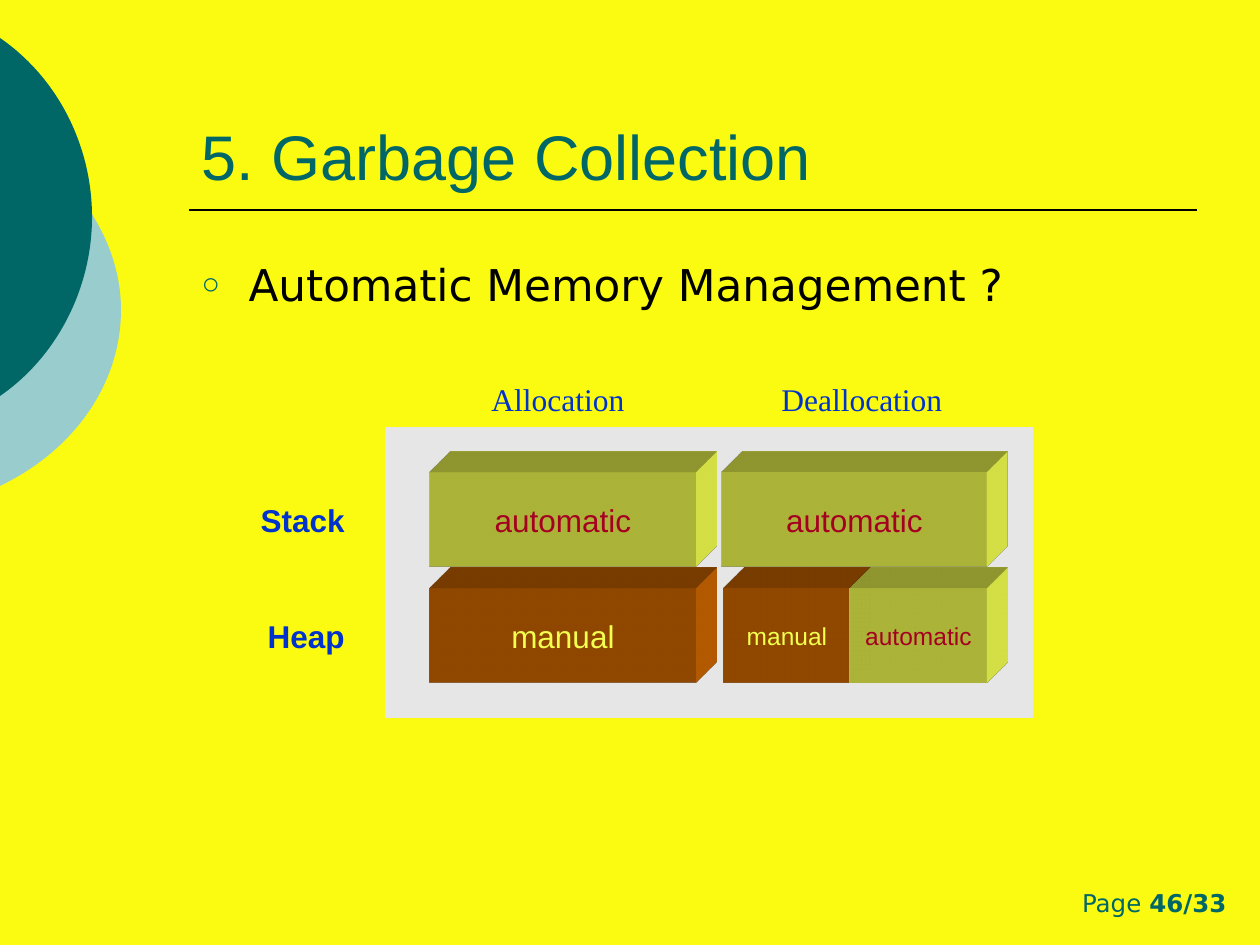
from lxml.etree import SubElement
from pptx import Presentation
from pptx.dml.color import RGBColor
from pptx.enum.shapes import MSO_CONNECTOR, MSO_SHAPE
from pptx.enum.text import MSO_ANCHOR, PP_ALIGN
from pptx.oxml.ns import qn
from pptx.util import Pt

PX = 914400 / 126  # EMU in one px
YELLOW = RGBColor(0xFB, 0xFB, 0x11)
TEAL = RGBColor(0x00, 0x66, 0x66)
PALE_TEAL = RGBColor(0x99, 0xCC, 0xCC)
BLACK = RGBColor(0x00, 0x00, 0x00)
GREY = RGBColor(0xE6, 0xE6, 0xE6)
BLUE = RGBColor(0x00, 0x33, 0xCC)
RED = RGBColor(0xA5, 0x00, 0x21)
LEMON = RGBColor(0xF2, 0xFF, 0x4F)
ORANGE = RGBColor(0xCC, 0x66, 0x00)

prs = Presentation()
prs.slide_width, prs.slide_height = round(1260 * PX), round(945 * PX)
s = prs.slides.add_slide(prs.slide_layouts[1])
s.background.fill.solid()
s.background.fill.fore_color.rgb = YELLOW


def rectangle(box, color):
    sp = s.shapes.add_shape(MSO_SHAPE.RECTANGLE, *(round(v * PX) for v in box))
    sp.fill.solid()
    sp.fill.fore_color.rgb = color
    sp.line.fill.background()
    sp.shadow.inherit = False
    return sp


def write(sp, runs, size, font, color, align=PP_ALIGN.CENTER):
    tf = sp.text_frame
    tf.word_wrap = True
    tf.vertical_anchor = MSO_ANCHOR.MIDDLE
    p = tf.paragraphs[0]
    p.alignment = align
    for text, bold in runs:
        r = p.add_run()
        r.text = text
        for name, value in {"size": Pt(size), "name": font, "bold": bold}.items():
            setattr(r.font, name, value)
        r.font.color.rgb = color


# Discs cut by the left edge: two Bezier curves inside a wider frame
discs = [
    (PALE_TEAL, (-446, 95, 567, 431),
     [(0, 134), (75, 170), (121, 240), (121, 310), (121, 383), (75, 450), (0, 486)]),
    (TEAL, (-334, 0, 426, 435),
     [(0, 38), (58, 78), (92, 146), (92, 217), (92, 287), (58, 356), (0, 396)]),
]
for color, (left, top, width, height), knots in discs:
    builder = s.shapes.build_freeform(*knots[0], scale=PX)
    builder.add_line_segments(knots[1:], close=True)
    sp = builder.convert_to_shape()
    sp.left, sp.top, sp.width, sp.height = (round(v * PX) for v in (left, top, width, height))
    outline = next(sp._element.iter(qn("a:path")))
    outline.set("w", str(width))
    outline.set("h", str(height))
    for pt, (x, y) in zip(outline.iter(qn("a:pt")), knots):
        pt.set("x", str(x - left))
        pt.set("y", str(y - top))
    lines = outline.findall(qn("a:lnTo"))
    for start in (0, 3):
        curve = SubElement(outline, qn("a:cubicBezTo"))
        for line in lines[start:start + 3]:
            curve.append(line[0])
            outline.remove(line)
    outline.append(outline.find(qn("a:close")))
    sp.fill.solid()
    sp.fill.fore_color.rgb = color
    sp.line.fill.background()
    sp.shadow.inherit = False

# Rule below the title
rule = s.shapes.add_connector(MSO_CONNECTOR.STRAIGHT, *(round(v * PX) for v in (189, 210, 1197, 210)))
rule.line.color.rgb = BLACK
rule.line.width = Pt(1)
SubElement(rule._element.spPr, qn("a:effectLst"))

# Title and bullet
title, body = s.shapes.title, s.placeholders[1]
texts = [
    (title, (189, 42, 1008, 157), "5. Garbage Collection", 36, "Arial", TEAL, MSO_ANCHOR.BOTTOM),
    (body, (189, 251, 1008, 567), "Automatic Memory Management ?", 25, "DejaVu Sans", BLACK, MSO_ANCHOR.TOP),
]
for sp, box, text, size, font, color, anchor in texts:
    sp.left, sp.top, sp.width, sp.height = (round(v * PX) for v in box)
    tf = sp.text_frame
    tf.text = text
    tf.vertical_anchor = anchor
    p = tf.paragraphs[0]
    p.alignment = PP_ALIGN.LEFT
    p.space_before = Pt(0)
    if sp is body:
        pPr = p._p.get_or_add_pPr()
        pPr.set("marL", str(round(47 * PX)))
        pPr.set("indent", str(round(-47 * PX)))
        SubElement(SubElement(pPr, qn("a:buClr")), qn("a:srgbClr"), val=str(TEAL))
        SubElement(pPr, qn("a:buSzPct"), val="70000")
        SubElement(pPr, qn("a:buChar"), char="○")
    r = p.runs[0]
    r.font.size, r.font.name = Pt(size), font
    r.font.color.rgb = color

# Grey panel
panel = rectangle((389, 431, 640, 283), GREY)
panel.line.color.rgb = GREY
panel.line.width = Pt(4.5)
SubElement(panel.line._get_or_add_ln(), qn("a:miter"), lim="800000")

# Extruded blocks
HEIGHT, STACK_Y, HEAP_Y = 95, 472, 588
blocks = [
    (724, HEAP_Y, 126, "manual", 14, ORANGE, LEMON),
    (850, HEAP_Y, 137, "automatic", 14, LEMON, RED),
    (430, STACK_Y, 266, "automatic", 18, LEMON, RED),
    (722, STACK_Y, 265, "automatic", 18, LEMON, RED),
    (430, HEAP_Y, 266, "manual", 18, ORANGE, LEMON),
]
for x, y, w, text, size, fill, color in blocks:
    sp = rectangle((x, y, w, HEIGHT), fill)
    scene = SubElement(sp._element.spPr, qn("a:scene3d"))
    SubElement(scene, qn("a:camera"), prst="legacyObliqueTopRight")
    SubElement(scene, qn("a:lightRig"), rig="legacyFlat3", dir="b")
    solid = SubElement(sp._element.spPr, qn("a:sp3d"), extrusionH="430200", prstMaterial="legacyMatte")
    for bevel in ("a:bevelT", "a:bevelB"):
        SubElement(solid, qn(bevel), w="13500", h="13500", prst="angle")
    SubElement(SubElement(solid, qn("a:extrusionClr")), qn("a:srgbClr"), val=str(fill))
    write(sp, [(text, False)], size, "Arial", color)

# Column heads, row heads and page number
labels = [
    ((420, 367, 276, 63), [("Allocation", False)], 18, "Times New Roman", BLUE, PP_ALIGN.CENTER),
    ((724, 367, 276, 63), [("Deallocation", False)], 18, "Times New Roman", BLUE, PP_ALIGN.CENTER),
    ((158, STACK_Y, 199, HEIGHT), [("Stack", True)], 18, "Arial", BLUE, PP_ALIGN.RIGHT),
    ((158, HEAP_Y, 199, HEIGHT), [("Heap", True)], 18, "Arial", BLUE, PP_ALIGN.RIGHT),
    ((955, 882, 284, 42), [("Page ", False), ("46/33", True)], 14, "DejaVu Sans", TEAL, PP_ALIGN.RIGHT),
]
for box, *style in labels:
    write(s.shapes.add_textbox(*(round(v * PX) for v in box)), *style)

prs.save("out.pptx")
